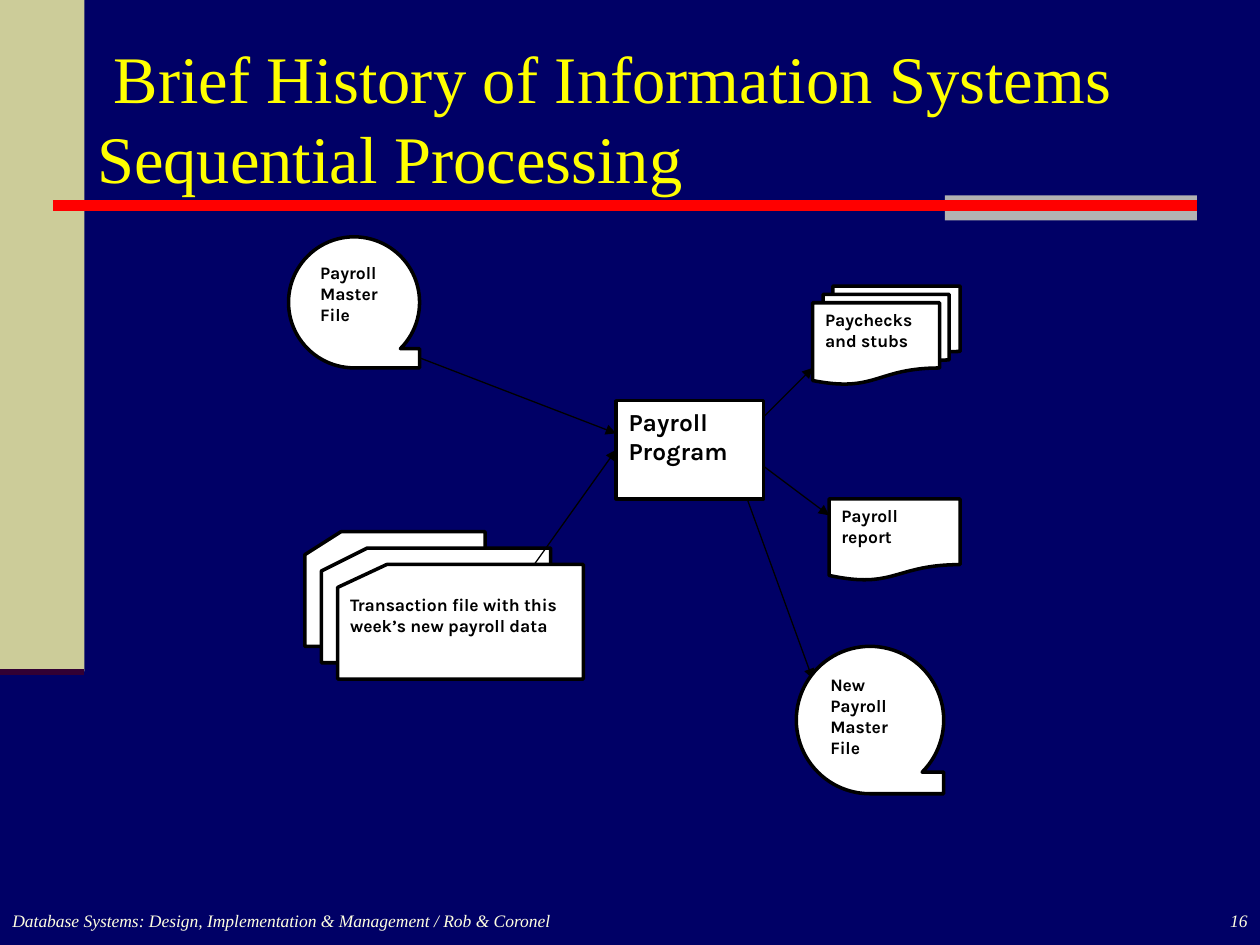
from dataclasses import dataclass

from lxml import etree
from pptx import Presentation
from pptx.dml.color import RGBColor
from pptx.enum.shapes import MSO_CONNECTOR, MSO_SHAPE
from pptx.enum.text import MSO_ANCHOR, MSO_AUTO_SIZE, PP_ALIGN
from pptx.oxml.ns import qn
from pptx.util import Inches, Pt

STRAIGHT = MSO_CONNECTOR.STRAIGHT
RECTANGLE = MSO_SHAPE.RECTANGLE
CARD = MSO_SHAPE.FLOWCHART_CARD
PROCESS = MSO_SHAPE.FLOWCHART_PROCESS
DOCUMENT = MSO_SHAPE.FLOWCHART_DOCUMENT
MULTIDOCUMENT = MSO_SHAPE.FLOWCHART_MULTIDOCUMENT
TAPE = MSO_SHAPE.FLOWCHART_SEQUENTIAL_ACCESS_STORAGE
TOP, MIDDLE = MSO_ANCHOR.TOP, MSO_ANCHOR.MIDDLE
LEFT, RIGHT = PP_ALIGN.LEFT, PP_ALIGN.RIGHT


@dataclass(frozen=True)
class Theme:
    background: RGBColor = RGBColor(0x00, 0x00, 0x66)
    sidebar: RGBColor = RGBColor(0xCC, 0xCC, 0x99)
    sidebar_edge: RGBColor = RGBColor(0x33, 0x00, 0x33)
    block: RGBColor = RGBColor(0xB2, 0xB2, 0xB2)
    rule: RGBColor = RGBColor(0xFF, 0x00, 0x00)
    title: RGBColor = RGBColor(0xFF, 0xFF, 0x00)
    footer: RGBColor = RGBColor(0xFF, 0xFF, 0xE1)
    paper: RGBColor = RGBColor(0xFF, 0xFF, 0xFF)
    ink: RGBColor = RGBColor(0x00, 0x00, 0x00)
    serif: str = "Times New Roman"
    sans: str = "Karla"
    title_size: int = 38
    program_size: int = 14
    small_size: int = 10


theme = Theme()

presentation = Presentation()
presentation.slide_width = Inches(10)
presentation.slide_height = Inches(7.5)
slide = presentation.slides.add_slide(presentation.slide_layouts[5])
slide.background.fill.solid()
slide.background.fill.fore_color.rgb = theme.background


def add_line(start, end, color, width, arrow=False):
    line = slide.shapes.add_connector(STRAIGHT, *map(Inches, start + end))
    line.line.color.rgb = color
    line.line.width = Pt(width)
    properties = line.line._get_or_add_ln()
    if arrow:
        etree.SubElement(properties, qn("a:tailEnd"), type="triangle")
    etree.SubElement(properties.getparent(), qn("a:effectLst"))


def add_flow_shape(kind, box, text="", size=theme.small_size):
    shape = slide.shapes.add_shape(kind, *map(Inches, box))
    shape.shadow.inherit = False
    shape.fill.solid()
    shape.fill.fore_color.rgb = theme.paper
    shape.line.color.rgb = theme.ink
    shape.line.width = Pt(2)
    if text:
        frame = shape.text_frame
        frame.word_wrap = True
        frame.vertical_anchor = TOP
        frame.text = text
        paragraph = frame.paragraphs[0]
        paragraph.alignment = LEFT
        paragraph.font.name = theme.sans
        paragraph.font.size = Pt(size)
        paragraph.font.bold = True
        paragraph.font.color.rgb = theme.ink


# Background decoration
for box, color in [
    ((0, 0, 0.67, 5.33), theme.sidebar),
    ((7.5, 1.55, 2, 0.2), theme.block),
]:
    panel = slide.shapes.add_shape(RECTANGLE, *map(Inches, box))
    panel.shadow.inherit = False
    panel.fill.solid()
    panel.fill.fore_color.rgb = color
    panel.line.fill.background()
add_line((0.42, 1.63), (9.5, 1.63), theme.rule, 6)
add_line((0, 5.33), (0.67, 5.33), theme.sidebar_edge, 3.5)

# Title
title = slide.shapes.title
title.left, title.top = Inches(0.67), Inches(0.3)
title.width, title.height = Inches(9.33), Inches(1.25)
title.text_frame.auto_size = MSO_AUTO_SIZE.NONE
title.text_frame.vertical_anchor = MIDDLE
title.text_frame.text = " Brief History of Information Systems \vSequential Processing"
paragraph = title.text_frame.paragraphs[0]
paragraph.alignment = LEFT
paragraph.font.name = theme.serif
paragraph.font.size = Pt(theme.title_size)
paragraph.font.color.rgb = theme.title

# Stack of transaction cards
card_labels = ["", "", "Transaction file with this week’s new payroll data"]
for index, (width, label) in enumerate(zip([1.43, 1.82, 1.95], card_labels)):
    offset = 0.13 * index
    add_flow_shape(CARD, (2.42 + offset, 4.22 + offset, width, 0.91), label)

# Program and printed output
add_flow_shape(PROCESS, (4.89, 3.18, 1.17, 0.78), "Payroll Program", theme.program_size)
add_flow_shape(MULTIDOCUMENT, (6.45, 2.27, 1.17, 0.78), "Paychecks and stubs")
add_flow_shape(DOCUMENT, (6.58, 3.96, 1.04, 0.65), "Payroll report")

# Data flow arrows, drawn beneath the tapes
for start, end in [
    ((3.2, 2.79), (4.89, 3.44)),
    ((4.24, 4.48), (4.89, 3.57)),
    ((6.06, 3.31), (6.45, 2.92)),
    ((6.06, 3.7), (6.58, 4.09)),
    ((5.93, 3.96), (6.45, 5.39)),
]:
    add_line(start, end, theme.ink, 0.75, arrow=True)

# Master file tapes
add_flow_shape(TAPE, (2.29, 1.88, 1.04, 1.04), "Payroll Master File")
add_flow_shape(TAPE, (6.32, 5.13, 1.17, 1.17), "New Payroll Master File")

# Footer and slide number
for left, width, alignment, text in [
    (0, 6.92, LEFT, "Database Systems: Design, Implementation & Management / Rob & Coronel"),
    (7.92, 2.08, RIGHT, "16"),
]:
    footer = slide.shapes.add_textbox(Inches(left), Inches(7.17), Inches(width), Inches(0.33))
    footer.text_frame.word_wrap = True
    footer.text_frame.text = text
    paragraph = footer.text_frame.paragraphs[0]
    paragraph.alignment = alignment
    paragraph.font.name = theme.serif
    paragraph.font.size = Pt(theme.small_size)
    paragraph.font.italic = True
    paragraph.font.color.rgb = theme.footer

presentation.save("out.pptx")
